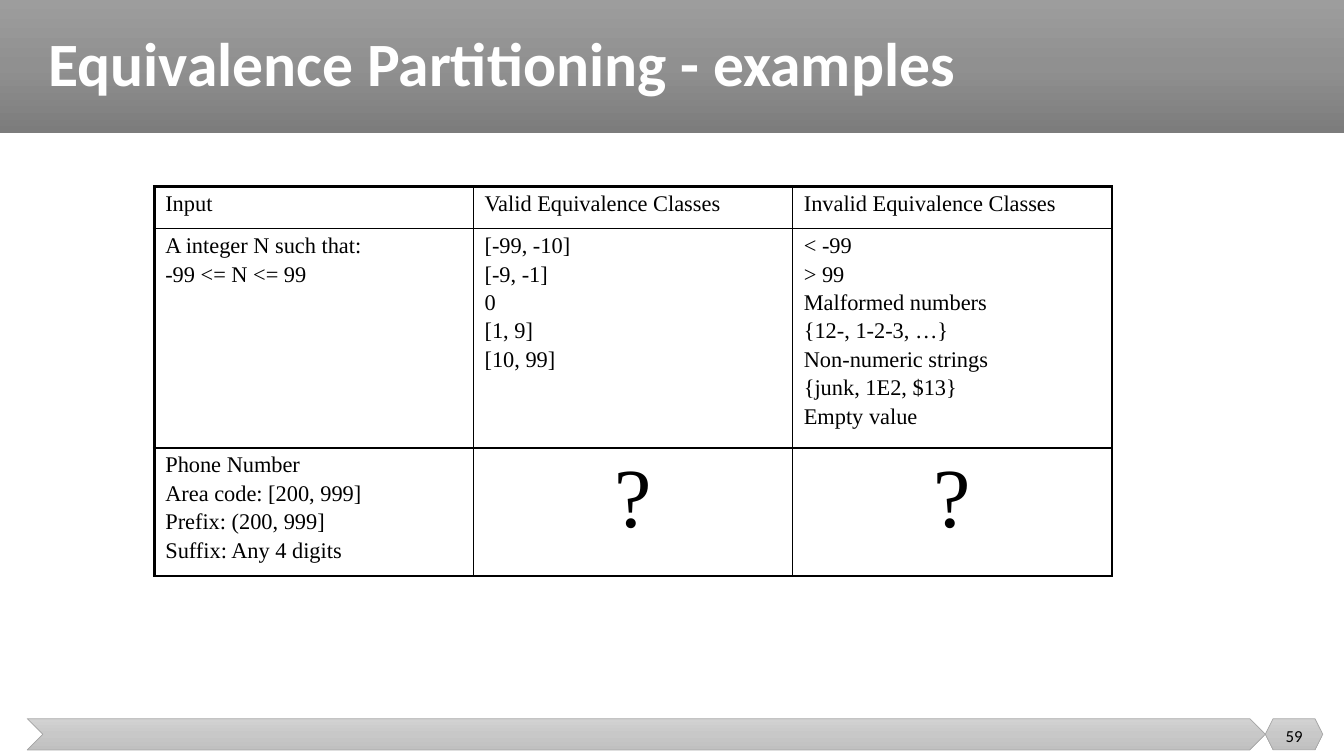
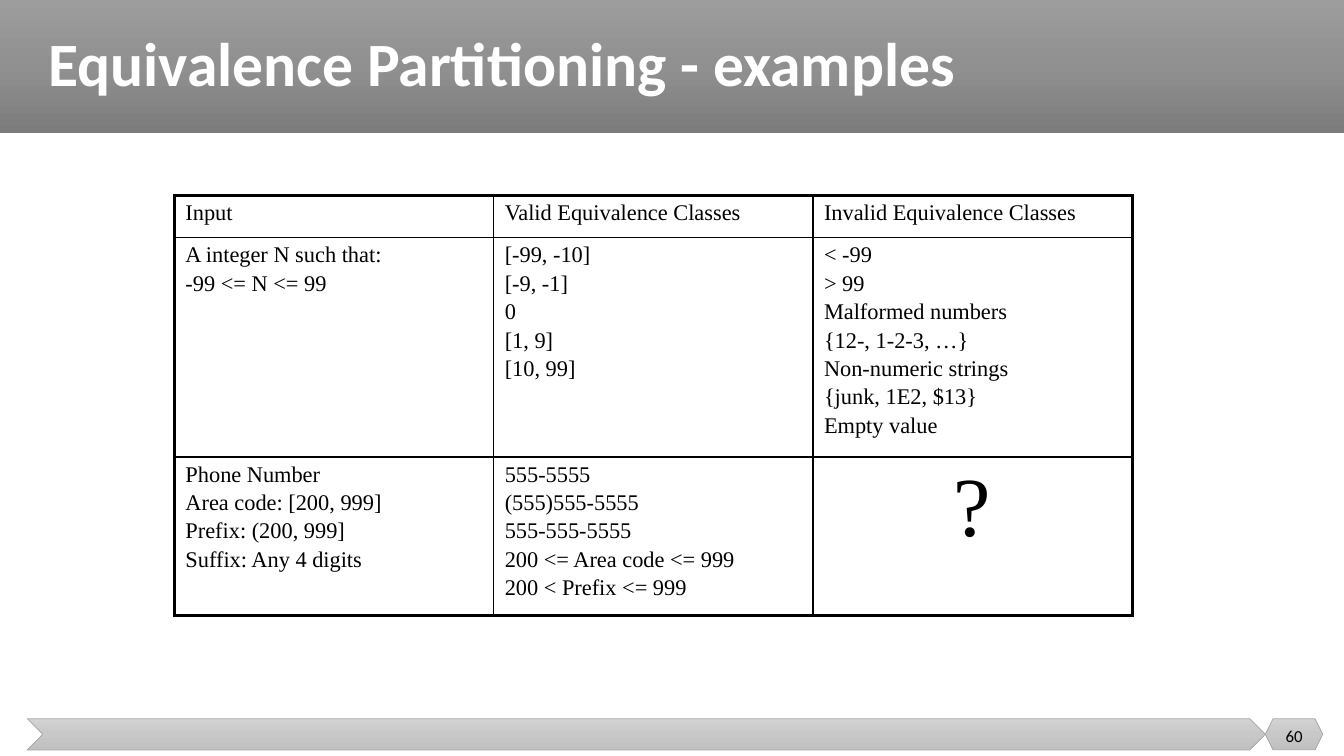
from lxml import etree
from pptx import Presentation
from pptx import util as u
from pptx.dml import color
from pptx.enum import shapes, text
from pptx.oxml import ns

BLACK, WHITE, EDGE = "000000", "FFFFFF", "A5A5A5"
DARK = ("9D9D9D", "909090", "7C7C7C")
LIGHT = ("D2D2D2", "C8C8C8", "C0C0C0")
SANS, SERIF = "Calibri", "Times New Roman"
TITLE = "Equivalence Partitioning - examples"


def paint(target, tone):
    target.rgb = color.RGBColor.from_string(tone)


def write(frame, lines, size=16, face=SERIF, tone=BLACK, bold=False,
          align=text.PP_ALIGN.LEFT, gap=0, pitch=None):
    frame.word_wrap = True
    for i, line in enumerate(lines):
        para = frame.paragraphs[0] if i == 0 else frame.add_paragraph()
        para.alignment = align
        para.line_spacing = pitch
        para.space_before = u.Pt(gap if i else 0)
        run = para.add_run()
        run.text = line
        run.font.size = u.Pt(size)
        run.font.name = face
        run.font.bold = bold
        paint(run.font.color, tone)


def border(cell, side, width):
    props = cell._tc.get_or_add_tcPr()
    line = etree.SubElement(props, ns.qn(f"a:ln{side}"), w=str(u.Pt(width)))
    solid = etree.SubElement(line, ns.qn("a:solidFill"))
    etree.SubElement(solid, ns.qn("a:srgbClr"), val=BLACK)


class Deck:
    def __init__(self):
        self.show = Presentation()
        self.show.slide_width = u.Inches(13.33)
        self.show.slide_height = u.Inches(7.5)
        self.layout = self.show.slide_layouts[5]
        self.slide = None

    def start(self, title, number):
        first = self.slide is None
        self.slide = self.show.slides.add_slide(self.layout)
        if first:
            self.frame()
        self.title(title)
        self.number(number)

    def frame(self):
        kind = shapes.MSO_SHAPE
        bands = [
            self.band(kind.RECTANGLE, 0, 0, 13.33, 1.32, DARK),
            self.band(kind.CHEVRON, 0.27, 7.13, 12.28, 0.31, LIGHT, EDGE),
            self.band(kind.HEXAGON, 12.55, 7.13, 0.57, 0.31, LIGHT, EDGE),
        ]
        for band in bands:
            self.layout.shapes.element.append(band.element)

    def band(self, kind, left, top, width, height, tones, edge=None):
        shape = self.slide.shapes.add_shape(
            kind, *map(u.Inches, (left, top, width, height)))
        shape.shadow.inherit = False
        shape.fill.gradient()
        shape.fill.gradient_angle = 270
        stops = shape.element.find(".//" + ns.qn("a:gsLst"))
        for stop in list(stops):
            stops.remove(stop)
        for i, tone in enumerate(tones):
            stop = etree.SubElement(stops, ns.qn("a:gs"), pos=str(i * 50000))
            etree.SubElement(stop, ns.qn("a:srgbClr"), val=tone)
        if edge:
            paint_line = shape.line
            paint_line.fill.solid()
            paint(paint_line.color, edge)
            paint_line.width = u.Pt(0.5)
        else:
            shape.line.fill.background()
        return shape

    def title(self, words):
        box = self.slide.shapes.title
        box.left, box.top = u.Inches(0.38), u.Inches(0)
        box.width, box.height = u.Inches(12.74), u.Inches(1.32)
        box.text_frame.vertical_anchor = text.MSO_ANCHOR.MIDDLE
        box.text_frame.auto_size = text.MSO_AUTO_SIZE.NONE
        write(box.text_frame, [words], size=44, face=SANS, tone=WHITE,
              bold=True, pitch=0.9)

    def number(self, value):
        box = self.slide.shapes.add_textbox(
            *map(u.Inches, (12.55, 7.1, 0.57, 0.4)))
        box.text_frame.vertical_anchor = text.MSO_ANCHOR.MIDDLE
        write(box.text_frame, [str(value)], size=12, face=SANS,
              align=text.PP_ALIGN.CENTER)

    def table(self, left, top, heights, rows):
        count, wide = len(rows), len(rows[0])
        table = self.slide.shapes.add_table(
            count, wide, u.Inches(left), u.Inches(top),
            u.Inches(9.5), u.Inches(sum(heights))).table
        table.first_row = table.horz_banding = False
        for row, height in zip(table.rows, heights):
            row.height = u.Inches(height)
        for i, row in enumerate(rows):
            for j, lines in enumerate(row):
                cell = table.cell(i, j)
                cell.margin_left = cell.margin_right = u.Inches(0.11)
                cell.margin_top = cell.margin_bottom = u.Inches(0.05)
                outer = {"L": j == 0, "R": j == wide - 1,
                         "T": i == 0, "B": i == count - 1}
                for side, thick in outer.items():
                    border(cell, side, 2.25 if thick else 1)
                cell.fill.background()
                if lines == OPEN:
                    write(cell.text_frame, lines, size=60,
                          align=text.PP_ALIGN.CENTER)
                else:
                    write(cell.text_frame, lines, gap=2.5)


OPEN = ["?"]
HEAD = [["Input"], ["Valid Equivalence Classes"], ["Invalid Equivalence Classes"]]
RANGE = [
    ["A integer N such that:", "-99 <= N <= 99"],
    ["[-99, -10]", "[-9, -1]", "0", "[1, 9]", "[10, 99]"],
    ["< -99", "> 99", "Malformed numbers", "{12-, 1-2-3, …}",
     "Non-numeric strings", "{junk, 1E2, $13}", "Empty value"],
]
PHONE = ["Phone Number", "Area code: [200, 999]", "Prefix: (200, 999]",
         "Suffix: Any 4 digits"]
VALID = ["555-5555", "(555)555-5555", "555-555-5555",
         "200 <= Area code <= 999", "200 < Prefix <= 999"]


def main():
    deck = Deck()
    pages = [(59, 1.53, 1.85, 1.22, OPEN), (60, 1.73, 1.94, 1.52, VALID)]
    for number, left, top, last, valid in pages:
        deck.start(TITLE, number)
        deck.table(left, top, [0.42, 2.09, last],
                   [HEAD, RANGE, [PHONE, valid, OPEN]])
    deck.show.save("out.pptx")


if __name__ == "__main__":
    main()
